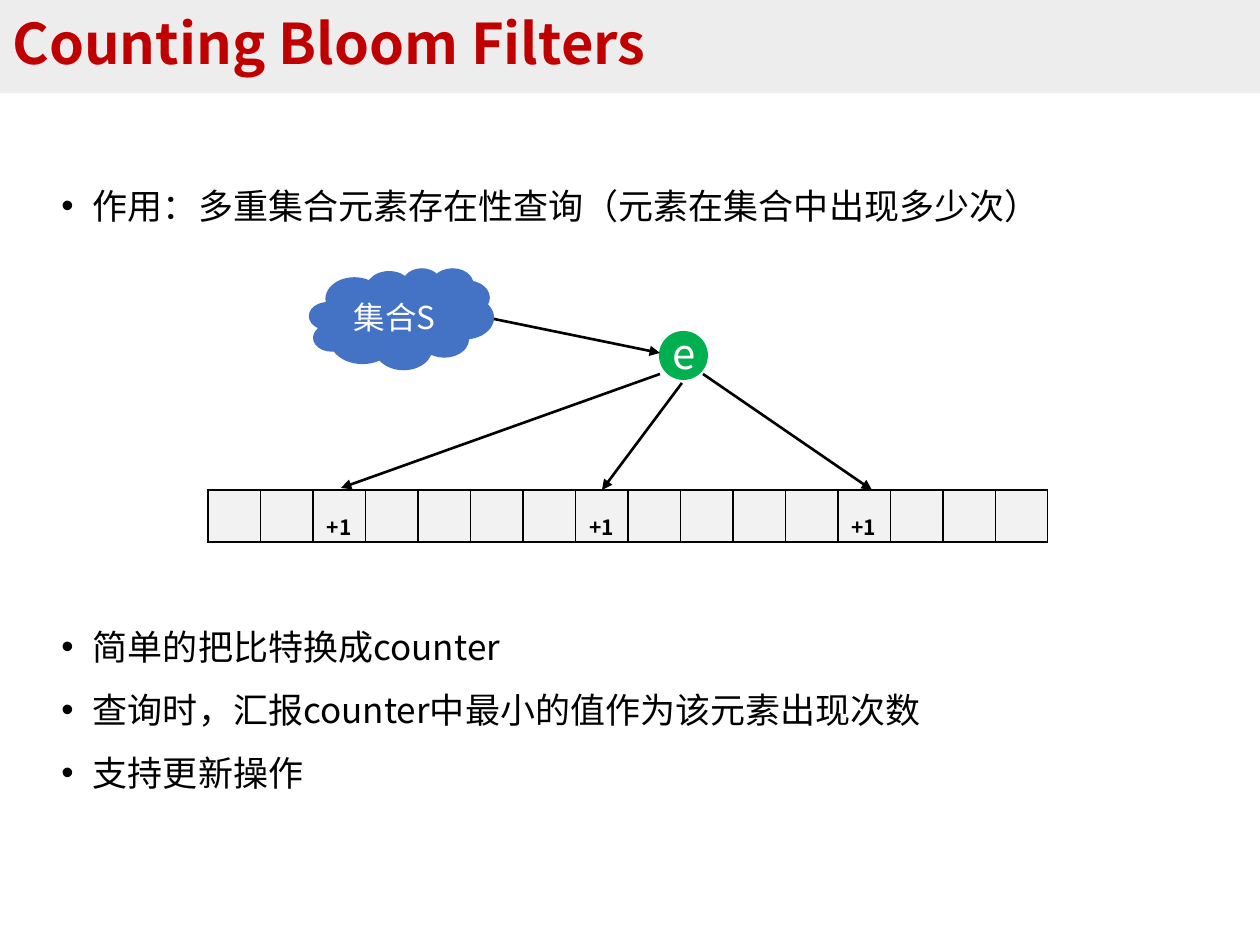
from lxml.etree import SubElement
from pptx import Presentation
from pptx.dml.color import RGBColor
from pptx.enum.shapes import MSO_CONNECTOR as Connector, MSO_SHAPE as Shape
from pptx.enum.text import MSO_ANCHOR as Anchor, PP_ALIGN as Align
from pptx.oxml.ns import qn
from pptx.util import Emu, Pt

PX = 914400 // 126
FONT = "Noto Sans CJK SC"
BLACK, WHITE = "000000", "FFFFFF"
CELL_COUNT = 16
COUNTED_CELLS = (2, 7, 12)
ARROWS = [
    (494, 319, 660, 353),
    (660, 374, 341, 488),
    (703, 374, 872, 490),
    (682, 383, 602, 490),
]


def px(*lengths):
    return [Emu(length * PX) for length in lengths]


def rgb(value):
    return RGBColor.from_string(value)


def write(paragraph, text, size, color, bold=False, **formats):
    for name, value in formats.items():
        setattr(paragraph, name, value)
    run = paragraph.add_run()
    run.text = text
    for name, value in {"name": FONT, "size": Pt(size), "bold": bold}.items():
        setattr(run.font, name, value)
    run.font.color.rgb = rgb(color)
    SubElement(run.font._element, qn("a:ea"), typeface=FONT)


def add_filled(shapes, kind, box, fill):
    shape = shapes.add_shape(kind, *px(*box))
    shape.shadow.inherit = False
    shape.fill.solid()
    shape.fill.fore_color.rgb = rgb(fill)
    shape.line.fill.background()
    return shape


def add_title(slide, text):
    frame = add_filled(slide.shapes, Shape.RECTANGLE, (0, 0, 1260, 93), "EDEDED").text_frame
    margins = {"margin_top": px(15)[0], "margin_bottom": px(15)[0]}
    for name, value in {"vertical_anchor": Anchor.MIDDLE, "word_wrap": True, **margins}.items():
        setattr(frame, name, value)
    write(frame.paragraphs[0], text, 32, "C00000", bold=True,
          alignment=Align.LEFT, line_spacing=0.9)


def add_bullets(slide, box, lines):
    frame = slide.shapes.add_textbox(*px(*box)).text_frame
    frame.word_wrap = True
    indent = Emu(228600)
    for index, line in enumerate(lines):
        paragraph = frame.add_paragraph() if index else frame.paragraphs[0]
        write(paragraph, line, 20, BLACK, line_spacing=1.5)
        properties = paragraph._p.get_or_add_pPr()
        properties.set("marL", str(indent))
        properties.set("indent", str(-indent))
        SubElement(properties, qn("a:buFont"), typeface="Arial")
        SubElement(properties, qn("a:buChar"), char="•")


def style_cell(cell):
    properties = cell._tc.get_or_add_tcPr()
    for side in ("lnL", "lnR", "lnT", "lnB"):
        border = SubElement(properties, qn(f"a:{side}"), w=str(Pt(1)))
        SubElement(SubElement(border, qn("a:solidFill")), qn("a:srgbClr"), val=BLACK)
    cell.fill.solid()
    cell.fill.fore_color.rgb = rgb("F2F2F2")


def add_counters(slide):
    table = slide.shapes.add_table(1, CELL_COUNT, *px(208, 490, 840, 52)).table
    table.first_row = table.horz_banding = False
    table.rows[0].height = px(52)[0]
    for index in range(CELL_COUNT):
        cell = table.cell(0, index)
        style_cell(cell)
        if index in COUNTED_CELLS:
            write(cell.text_frame.paragraphs[0], "+1", 12, BLACK, bold=True,
                  alignment=Align.CENTER, line_spacing=1.5)


def add_set_cloud(slide):
    frame = add_filled(slide.shapes, Shape.CLOUD, (309, 268, 185, 102), "4472C4").text_frame
    frame.vertical_anchor = Anchor.MIDDLE
    write(frame.paragraphs[0], "集合S", 18, WHITE, alignment=Align.CENTER)


def add_element(slide):
    group = slide.shapes.add_group_shape()
    add_filled(group.shapes, Shape.OVAL, (659, 331, 49, 49), "00B050")
    frame = group.shapes.add_textbox(*px(660, 321, 48, 63)).text_frame
    frame.word_wrap = False
    write(frame.paragraphs[0], "e", 24, WHITE)


def add_arrow(slide, ends):
    arrow = slide.shapes.add_connector(Connector.STRAIGHT, *px(*ends))
    arrow.line.width = Pt(1.5)
    arrow.line.color.rgb = rgb(BLACK)
    SubElement(arrow.line._get_or_add_ln(), qn("a:tailEnd"), type="triangle")
    SubElement(arrow._element.spPr, qn("a:effectLst"))


def main():
    presentation = Presentation()
    presentation.slide_width, presentation.slide_height = px(1260, 945)
    slide = presentation.slides.add_slide(presentation.slide_layouts[6])
    add_title(slide, "Counting Bloom Filters")
    add_bullets(slide, (49, 157, 1162, 76), ["作用：多重集合元素存在性查询（元素在集合中出现多少次）"])
    add_bullets(slide, (49, 598, 1162, 347), [
        "简单的把比特换成counter",
        "查询时，汇报counter中最小的值作为该元素出现次数",
        "支持更新操作",
    ])
    add_counters(slide)
    add_set_cloud(slide)
    add_element(slide)
    for ends in ARROWS:
        add_arrow(slide, ends)
    presentation.save("out.pptx")


if __name__ == "__main__":
    main()
